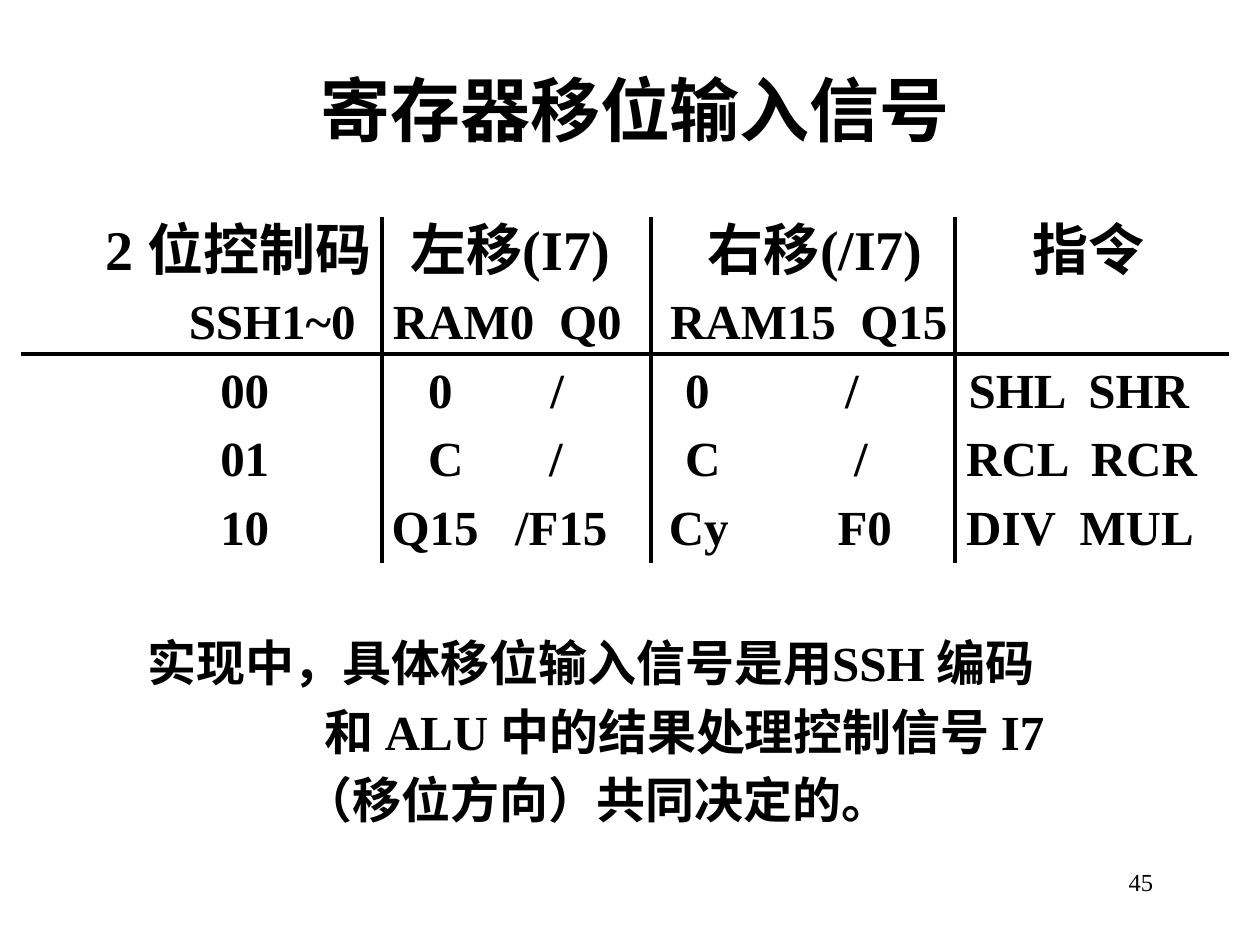
from lxml import etree
from pptx import Presentation
from pptx.dml.color import RGBColor
from pptx.enum import shapes, text
from pptx.oxml.ns import qn
from pptx.util import Inches, Pt

BLACK = RGBColor(0, 0, 0)
FACE = "Times New Roman"
LEFT, INSET = 0.25, 0.1
PITCH = Pt(39.1)

TITLE = "寄存器移位输入信号"
PAGE = "45"
# Each row: size, then (slide x, text) pairs
GRID = [
    (32, [(0.84, "2 位控制码"), (3.26, "左移(I7)"), (5.62, "右移(/I7)"), (8.2, "指令")]),
    (28, [(1.5, "SSH1~0"), (3.12, "RAM0"), (4.44, "Q0"), (5.32, "RAM15"), (6.83, "Q15")]),
    (28, [(1.75, "00"), (3.4, "0"), (4.37, "/"), (5.44, "0"), (6.71, "/"),
          (7.69, "SHL"), (8.64, "SHR")]),
    (28, [(1.75, "01"), (3.4, "C"), (4.36, "/"), (5.44, "C"), (6.78, "/"),
          (7.67, "RCL"), (8.66, "RCR")]),
    (28, [(1.75, "10"), (3.11, "Q15"), (4.09, "/F15"), (5.31, "Cy"), (6.65, "F0"),
          (7.67, "DIV"), (8.57, "MUL")]),
]
NOTE = [
    (28, [(1.17, "实现中，具体移位输入信号是用SSH 编码")]),
    (28, [(2.58, "和 ALU 中的结果处理控制信号 I7")]),
    (28, [(2.41, "（移位方向）共同决定的。")]),
]
TOP, BOTTOM = 1.72, 4.47
RULES = [(x, TOP, x, BOTTOM) for x in (3.03, 5.17, 7.58)] + [(0.17, 2.81, 9.75, 2.81)]


def add_box(slide, area, anchor=text.MSO_ANCHOR.TOP):
    frame = slide.shapes.add_textbox(*map(Inches, area)).text_frame
    frame.word_wrap = True
    frame.vertical_anchor = anchor
    return frame


def add_text(para, words, size, bold=True):
    run = para.add_run()
    run.text = words
    for key, val in {"name": FACE, "size": Pt(size), "bold": bold}.items():
        setattr(run.font, key, val)
    run.font.color.rgb = BLACK


def add_tabs(para, stops):
    tabs = etree.SubElement(para._p.get_or_add_pPr(), qn("a:tabLst"))
    for x in stops:
        etree.SubElement(tabs, qn("a:tab"), pos=str(Inches(x - LEFT - INSET)), algn="l")


def add_rule(slide, ends):
    line = slide.shapes.add_connector(shapes.MSO_CONNECTOR.STRAIGHT, *map(Inches, ends))
    line.line.color.rgb = BLACK
    line.line.width = Pt(2.25)
    etree.SubElement(line._element.spPr, qn("a:effectLst"))


def main():
    deck = Presentation()
    deck.slide_width, deck.slide_height = Inches(10), Inches(7.5)
    slide = deck.slides.add_slide(deck.slide_layouts[6])

    head = add_box(slide, (0.75, 0.49, 8.58, 0.74), text.MSO_ANCHOR.MIDDLE).paragraphs[0]
    head.alignment = text.PP_ALIGN.CENTER
    add_text(head, TITLE, 40)

    body = add_box(slide, (LEFT, 1.64, 9.5, 5.42))
    for i, (size, cells) in enumerate(GRID + NOTE):
        para = body.add_paragraph() if i else body.paragraphs[0]
        add_tabs(para, [x for x, _ in cells])
        para.line_spacing = PITCH
        if i == len(GRID):
            para.space_before = PITCH
        add_text(para, "".join("\t" + words for _, words in cells), size)

    for ends in RULES:
        add_rule(slide, ends)

    foot = add_box(slide, (7.17, 6.83, 2.08, 0.5)).paragraphs[0]
    foot.alignment = text.PP_ALIGN.RIGHT
    add_text(foot, PAGE, 14, bold=False)

    deck.save("out.pptx")


if __name__ == "__main__":
    main()
